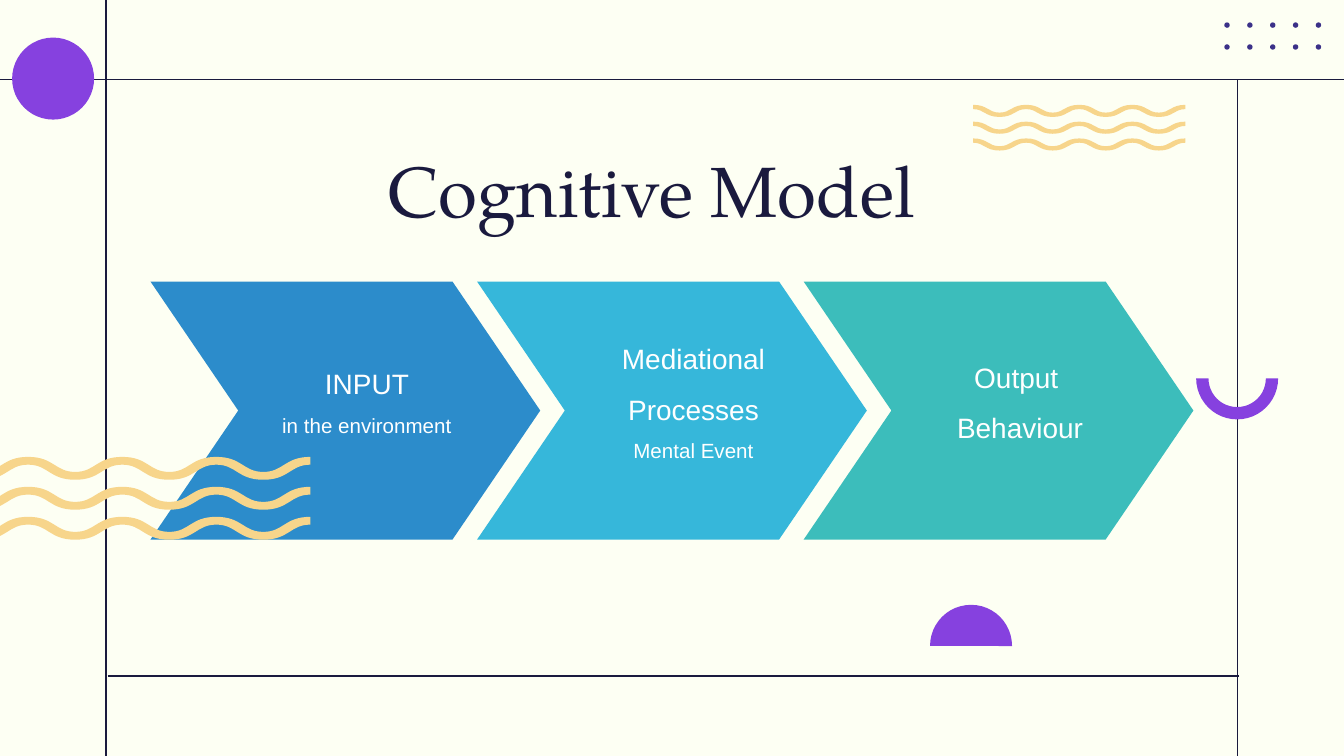
import pptx
import pptx.dml.color
import pptx.enum.shapes
import pptx.enum.text
import pptx.oxml
import pptx.oxml.ns
import pptx.util

# Square grid: 100 columns across the slide, 56.25 rows down it
SLIDE_WIDTH = pptx.util.Inches(10)
COLUMNS, ROWS = 100, 56.25
PRESET = pptx.enum.shapes.MSO_SHAPE

CREAM, NAVY, PURPLE = "FDFFF3", "1A1A3E", "8641DF"
INDIGO, SAND, WHITE = "3B3188", "F7D58B", "FFFFFF"


def grid(*units):
    """Turn grid units into slide lengths."""
    return [pptx.util.Emu(round(SLIDE_WIDTH * unit / COLUMNS)) for unit in units]


def paint(color_format, hex_color):
    color_format.rgb = pptx.dml.color.RGBColor.from_string(hex_color)


def fill_plain(shape, hex_color):
    shape.shadow.inherit = False
    shape.fill.solid()
    paint(shape.fill.fore_color, hex_color)
    shape.line.fill.background()


def add_preset(slide, preset, box, hex_color, adjustments=(), rotation=0):
    shape = slide.shapes.add_shape(preset, *grid(*box))
    for index, value in enumerate(adjustments):
        shape.adjustments[index] = value
    shape.rotation = rotation
    fill_plain(shape, hex_color)


def add_rule(slide, start, end):
    line = slide.shapes.add_connector(
        pptx.enum.shapes.MSO_CONNECTOR.STRAIGHT, *grid(*start, *end))
    line.line.width = pptx.util.Pt(0.75)
    paint(line.line.color, NAVY)
    line._element.spPr.append(
        pptx.oxml.parse_xml("<a:effectLst %s/>" % pptx.oxml.ns.nsdecls("a")))


def add_text(slide, box, lines, font_name, hex_color, inset):
    """Write (text, size) lines in a box and return its text frame."""
    text_frame = slide.shapes.add_textbox(*grid(*box)).text_frame
    text_frame.margin_left, text_frame.margin_right = grid(inset, inset)
    text_frame.margin_top, text_frame.margin_bottom = grid(inset, inset)
    text_frame.text = "\n".join(text for text, size in lines)
    for paragraph, (text, size) in zip(text_frame.paragraphs, lines):
        font = paragraph.runs[0].font
        font.name, font.size = font_name, pptx.util.Pt(size)
        paint(font.color, hex_color)
    return text_frame


def wave_edge(left, width, crest, trough, crest_pull, trough_pull):
    """List the end and control points of one edge, a curve per half period."""
    halves = 8
    step = width / halves
    points = [grid(left, crest)]
    for half in range(halves):
        x = left + half * step
        start, end = (crest, crest_pull), (trough, trough_pull)
        if half % 2:
            start, end = end, start
        points += [grid(x + step * start[1], start[0]),
                   grid(x + step * (1 - end[1]), end[0]),
                   grid(x + step, end[0])]
    return points


def bend(lines):
    """Merge each three line segments into one cubic curve."""
    for first, second, third in zip(lines[::3], lines[1::3], lines[2::3]):
        first.tag = pptx.oxml.ns.qn("a:cubicBezTo")
        for line in (second, third):
            first.append(line[0])
            line.getparent().remove(line)


def add_wave(slide, left, top, width, height, thickness):
    upper = wave_edge(left, width, top, top + height - thickness, 0.55, 0.43)
    lower = wave_edge(left, width, top + thickness, top + height, 0.43, 0.55)
    builder = slide.shapes.build_freeform(*upper[0], scale=1.0)
    builder.add_line_segments(upper[1:] + lower[::-1], close=True)
    shape = builder.convert_to_shape()
    lines = shape._element.xpath(".//a:lnTo")
    curve_points = len(upper) - 1
    bend(lines[:curve_points])
    bend(lines[curve_points + 1:])
    fill_plain(shape, SAND)


def add_wave_group(slide, left, top, width, height, thickness, pitch):
    for row in range(3):
        add_wave(slide, left, top + row * pitch, width, height, thickness)


def add_dots(slide):
    for row in range(2):
        for column in range(5):
            box = (91.1 + 1.7 * column, 1.67 + 1.63 * row, 0.4, 0.4)
            add_preset(slide, PRESET.OVAL, box, INDIGO)


def add_stage(slide, index, lines, hex_color):
    left = 11.2 + 24.3 * index
    add_preset(slide, PRESET.CHEVRON, (left, 20.95, 29, 19.2), hex_color, [0.34])
    text_frame = add_text(slide, (left + 5.65, 18.4, 20.9, 21.8), lines,
                          "Arial", WHITE, 0.3)
    text_frame.word_wrap = True
    text_frame.vertical_anchor = pptx.enum.text.MSO_ANCHOR.MIDDLE
    for paragraph in text_frame.paragraphs:
        paragraph.alignment = pptx.enum.text.PP_ALIGN.CENTER
        paragraph.line_spacing = 1.5


def main():
    presentation = pptx.Presentation()
    presentation.slide_width = SLIDE_WIDTH
    presentation.slide_height = grid(ROWS)[0]
    slide = presentation.slides.add_slide(presentation.slide_layouts[6])
    slide.background.fill.solid()
    paint(slide.background.fill.fore_color, CREAM)

    # Frame lines
    add_rule(slide, (-0.6, 5.9), (100.6, 5.9))
    add_rule(slide, (7.9, -0.2), (7.9, 57.1))
    add_rule(slide, (92.1, 5.9), (92.1, 56.9))
    add_rule(slide, (8, 50.3), (92.2, 50.3))

    # Ornaments behind the model
    add_preset(slide, PRESET.BLOCK_ARC, (89, 25.1, 6.1, 6.1), PURPLE,
               [108, 0.08, 0.15], 180)
    add_preset(slide, PRESET.OVAL, (0.9, 2.8, 6.1, 6.1), PURPLE)
    add_dots(slide)

    # Three stages of the model
    stages = [
        ([("INPUT", 15), ("in the environment", 11)], "2C8CCB"),
        ([("Mediational", 15), ("Processes", 15), ("Mental Event", 11)], "36B7DA"),
        ([("Output ", 15), ("Behaviour", 15)], "3CBDBB"),
    ]
    for index, (lines, hex_color) in enumerate(stages):
        add_stage(slide, index, lines, hex_color)

    # Ornaments in front
    add_preset(slide, PRESET.PIE, (69.2, 45, 6.1, 6.1), PURPLE, [0, 108.25], 180)
    add_wave_group(slide, -4.9, 34, 28, 1.7, 0.58, 2.23)
    add_wave_group(slide, 72.4, 7.8, 15.8, 0.9, 0.32, 1.25)

    # Title
    title = add_text(slide, (27.9, 9.9, 41.2, 8.4), [("Cognitive Model", 38)],
                     "TeX Gyre Pagella", NAVY, 1)
    title.word_wrap = False
    title.auto_size = pptx.enum.text.MSO_AUTO_SIZE.SHAPE_TO_FIT_TEXT

    presentation.save("out.pptx")


if __name__ == "__main__":
    main()
